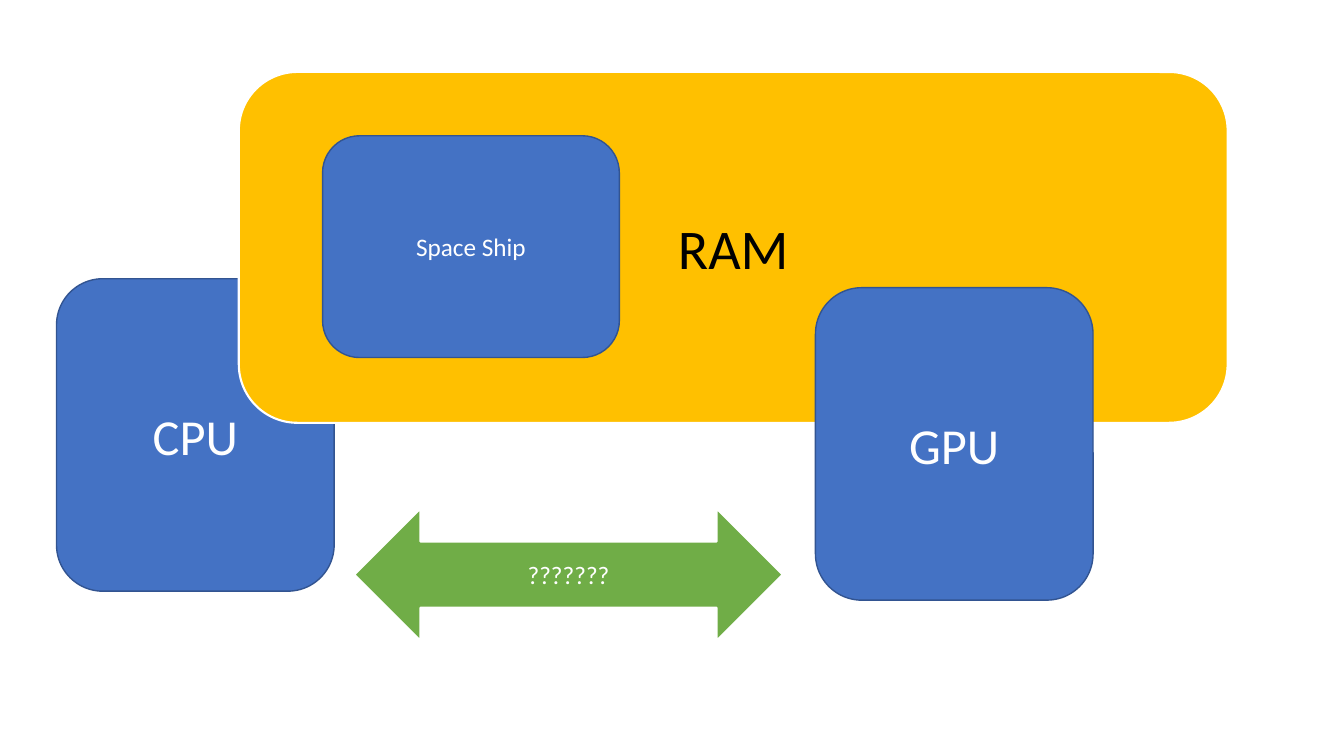
"""Build a slide showing how the CPU, RAM and GPU relate."""
from pptx import Presentation
from pptx.dml.color import RGBColor
from pptx.enum.shapes import MSO_SHAPE
from pptx.enum.text import MSO_ANCHOR, PP_ALIGN
from pptx.util import Pt

ROUNDED = MSO_SHAPE.ROUNDED_RECTANGLE
ARROW = MSO_SHAPE.LEFT_RIGHT_ARROW
MIDDLE = MSO_ANCHOR.MIDDLE
CENTER = PP_ALIGN.CENTER

THEME = {
    "font": "Calibri",
    "blue": ("4472C4", "325491", 1, "FFFFFF"),
    "gold": ("FFC000", "FFFFFF", 1.5, "000000"),
    "green": ("70AD47", "FFFFFF", 1.5, "FFFFFF"),
    "memory": 40,
    "processor": 36,
    "label": 18,
}
CHIP_W, CHIP_H = 198.3, 223.2

prs = Presentation()
prs.slide_width, prs.slide_height = Pt(960), Pt(540)
s = prs.slides.add_slide(prs.slide_layouts[6])

blocks = [
    ("CPU", ROUNDED, "blue", "processor", 40.4, 199.1, CHIP_W, CHIP_H),
    ("RAM", ROUNDED, "gold", "memory", 170.6, 51.4, 706.3, 250.6),
    ("GPU", ROUNDED, "blue", "processor", 582.5, 205.5, CHIP_W, CHIP_H),
    ("???????", ARROW, "green", "label", 253.1, 363.2, 306, 94.5),
    ("Space Ship", ROUNDED, "blue", "label", 230.4, 97, 212, 158.4),
]
for text, kind, style, size, x, y, w, h in blocks:
    fill, line, weight, ink = THEME[style]
    sp = s.shapes.add_shape(kind, Pt(x), Pt(y), Pt(w), Pt(h))
    sp.shadow.inherit = False
    sp.fill.solid()
    sp.fill.fore_color.rgb = RGBColor.from_string(fill)
    sp.line.color.rgb = RGBColor.from_string(line)
    sp.line.width = Pt(weight)
    tf = sp.text_frame
    tf.text = text
    tf.vertical_anchor = MIDDLE
    p = tf.paragraphs[0]
    p.alignment = CENTER
    p.font.name = THEME["font"]
    p.font.size = Pt(THEME[size])
    p.font.color.rgb = RGBColor.from_string(ink)

prs.save("out.pptx")
